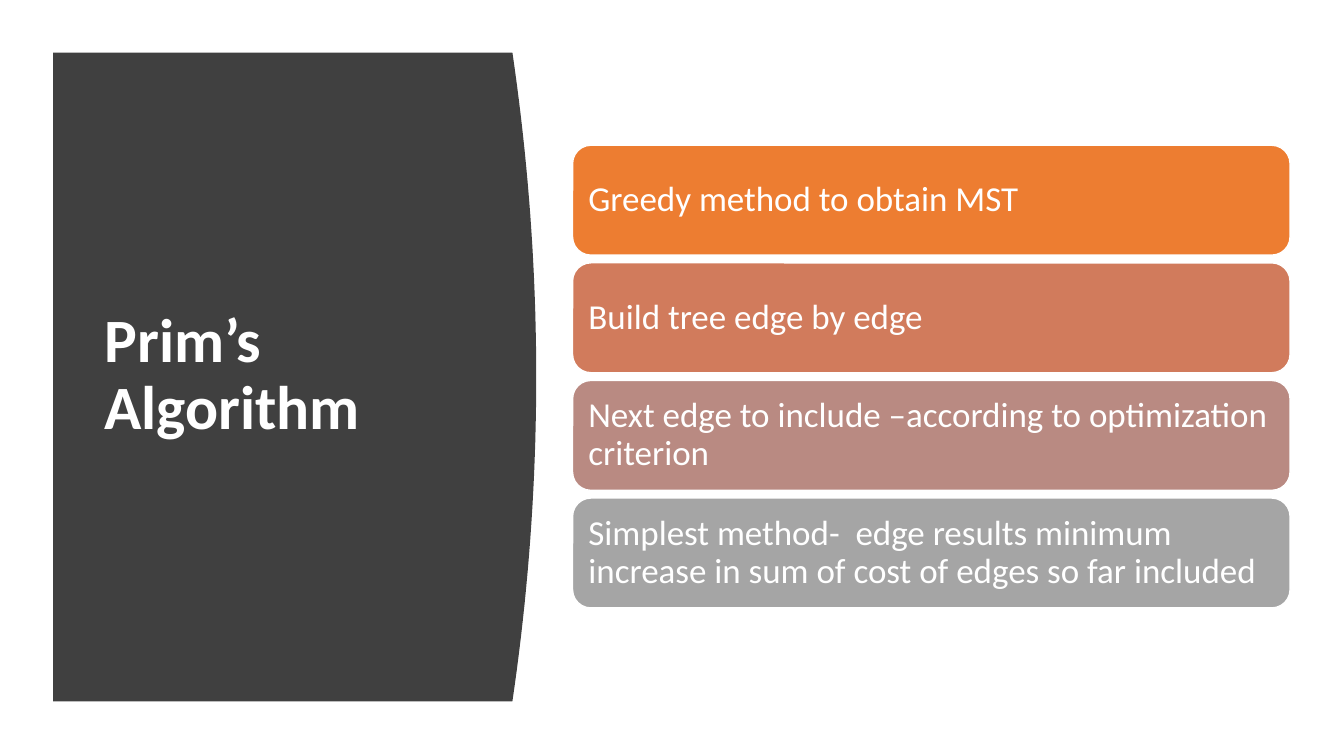
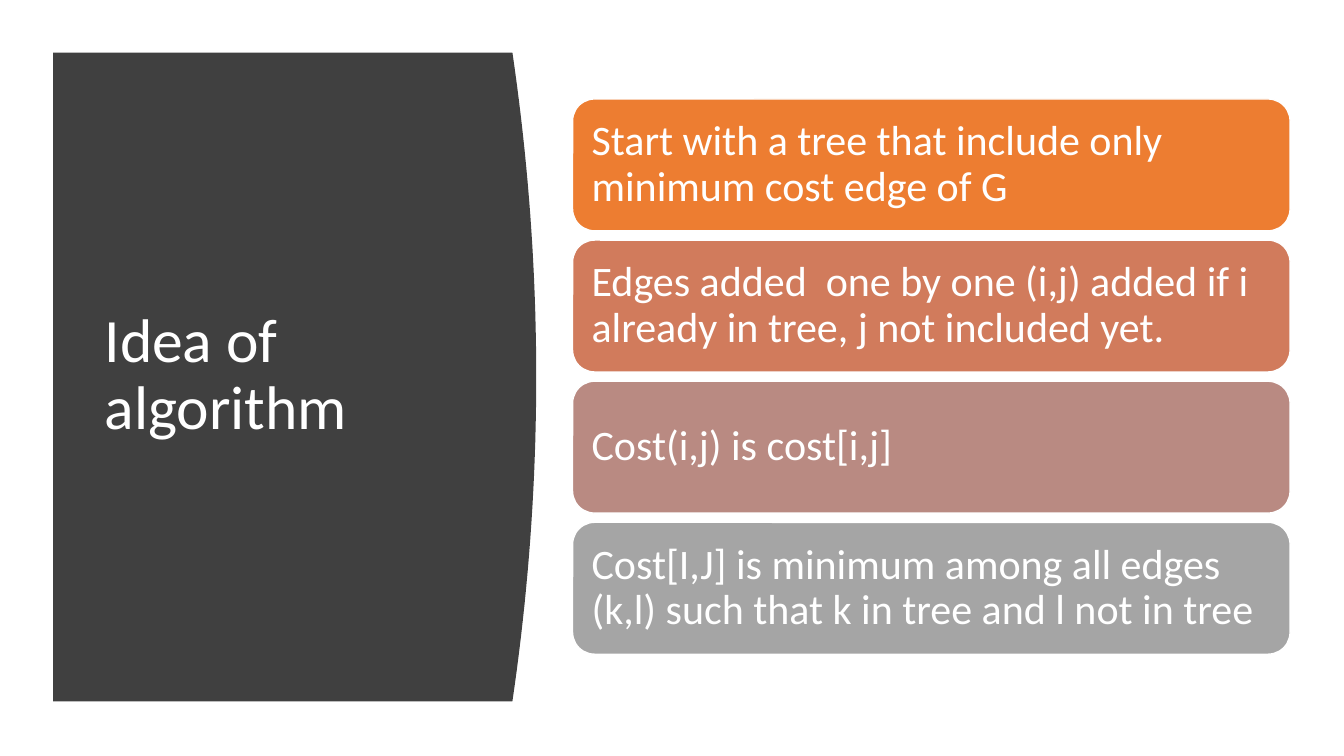
"""Build two slides on Prim's algorithm: a curved title panel beside four cards."""
from pptx import Presentation
from pptx.dml.color import RGBColor
from pptx.enum import shapes, text
from pptx.util import Pt

SLIDES = [
    dict(title="Prim’s Algorithm", bold=True, size=25, cards=[
        "Greedy method to obtain MST",
        "Build tree edge by edge",
        "Next edge to include –according to optimization criterion",
        "Simplest method-  edge results minimum increase in sum of cost of edges so far included",
    ]),
    dict(title="Idea of algorithm", bold=False, size=30, cards=[
        "Start with a tree that include only minimum cost edge of G",
        "Edges added  one by one (i,j) added if i already in tree, j not included yet.",
        "Cost(i,j) is cost[i,j]",
        "Cost[I,J] is minimum among all edges (k,l) such that k in tree and l not in tree",
    ]),
]
FONT, WHITE, PANEL = "Calibri", "FFFFFF", "404040"
CARD_FILLS = ["ED7D31", "D17B5C", "B98A82", "A5A5A5"]
PANEL_LEFT, PANEL_TOP, PANEL_EDGE, PANEL_BOTTOM = 38, 37.5, 366, 501
BULGE, CURVE_STEPS = 17, 40
TITLE_BOX = (67.5, 80, 269.5, 377)
CARD_LEFT, CARD_WIDTH, CARDS_MIDDLE = 409, 512.5, 269
CARD_HEIGHT, CARD_GAP, CARD_INSET = 3.14, 0.22, 0.3


def color(value):
    return RGBColor.from_string(value)


def style_text(tf, size, bold=False):
    tf.word_wrap = True
    tf.auto_size = text.MSO_AUTO_SIZE.NONE
    tf.vertical_anchor = text.MSO_ANCHOR.MIDDLE
    p = tf.paragraphs[0]
    p.alignment = text.PP_ALIGN.LEFT
    p.line_spacing = 0.9
    p.font.name, p.font.size, p.font.bold = FONT, Pt(size), bold
    p.font.color.rgb = color(WHITE)


def add_panel(s):
    half = (PANEL_BOTTOM - PANEL_TOP) / 2
    curve = []
    for i in range(CURVE_STEPS + 1):
        t = 2 * i / CURVE_STEPS - 1
        curve.append((Pt(PANEL_EDGE + BULGE * (1 - t * t)),
                      Pt(PANEL_TOP + half * (1 + t))))
    outline = s.shapes.build_freeform(Pt(PANEL_LEFT), Pt(PANEL_TOP))
    outline.add_line_segments(curve + [(Pt(PANEL_LEFT), Pt(PANEL_BOTTOM))])
    sp = outline.convert_to_shape()
    sp.shadow.inherit = False
    sp.fill.solid()
    sp.fill.fore_color.rgb = color(PANEL)
    sp.line.fill.background()
    s.shapes._spTree.insert(2, sp._element)


def add_title(s, title, bold):
    sp = s.shapes.title
    sp.left, sp.top, sp.width, sp.height = map(Pt, TITLE_BOX)
    sp.text_frame.text = title
    style_text(sp.text_frame, 44, bold)


def add_cards(s, cards, size):
    height, gap = CARD_HEIGHT * size, CARD_GAP * size
    top = CARDS_MIDDLE - (len(cards) * (height + gap) - gap) / 2
    for i, (label, fill) in enumerate(zip(cards, CARD_FILLS)):
        sp = s.shapes.add_shape(
            shapes.MSO_SHAPE.ROUNDED_RECTANGLE, Pt(CARD_LEFT),
            Pt(top + i * (height + gap)), Pt(CARD_WIDTH), Pt(height))
        sp.shadow.inherit = False
        sp.fill.solid()
        sp.fill.fore_color.rgb = color(fill)
        sp.line.color.rgb = color(WHITE)
        sp.line.width = Pt(1)
        tf = sp.text_frame
        tf.text = label
        inset = Pt(CARD_INSET * size)
        tf.margin_left = tf.margin_right = tf.margin_top = tf.margin_bottom = inset
        style_text(tf, size)


def main():
    prs = Presentation()
    prs.slide_width, prs.slide_height = Pt(960), Pt(540)
    for slide in SLIDES:
        s = prs.slides.add_slide(prs.slide_layouts[5])
        add_panel(s)
        add_title(s, slide["title"], slide["bold"])
        add_cards(s, slide["cards"], slide["size"])
    prs.save("out.pptx")


if __name__ == "__main__":
    main()
